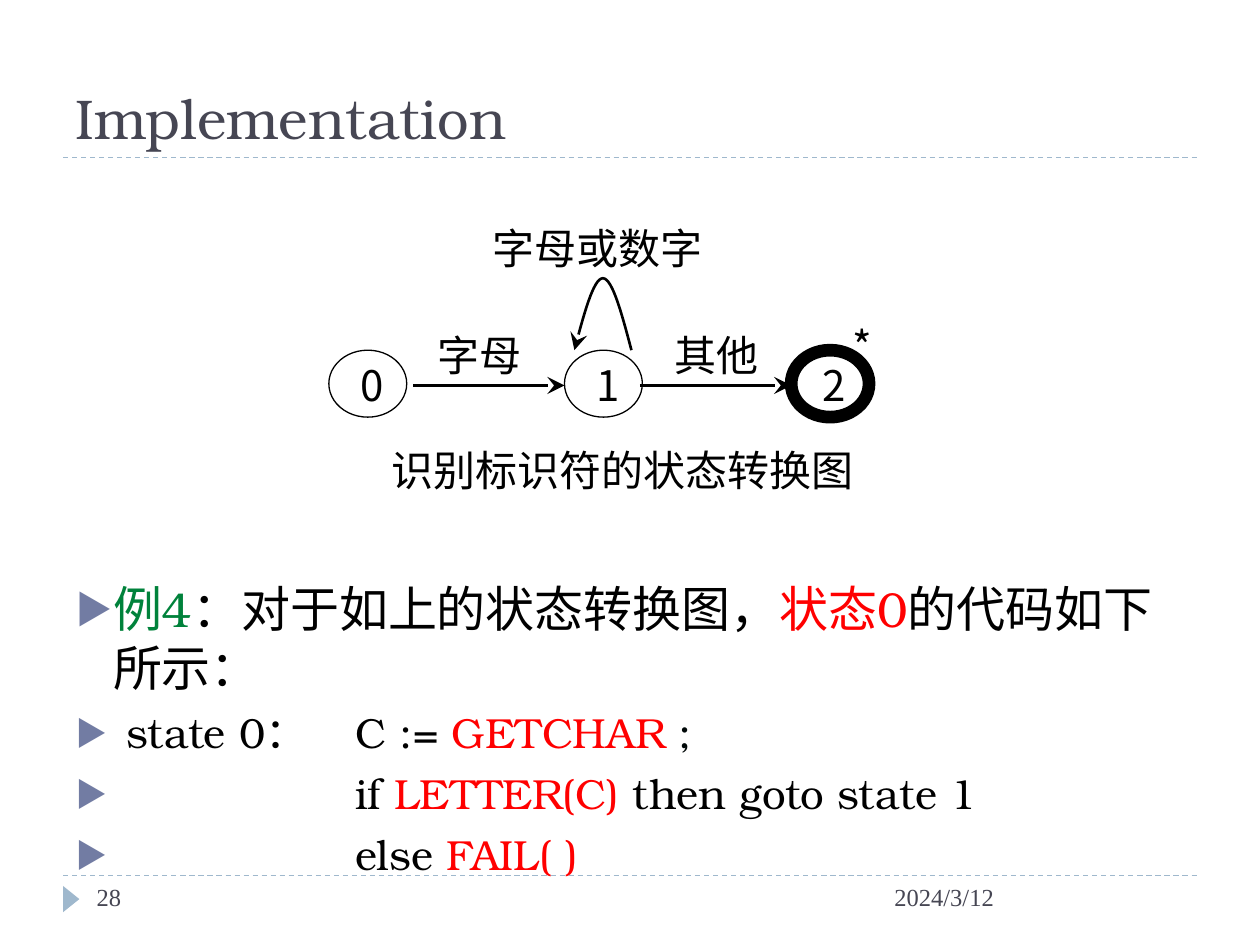
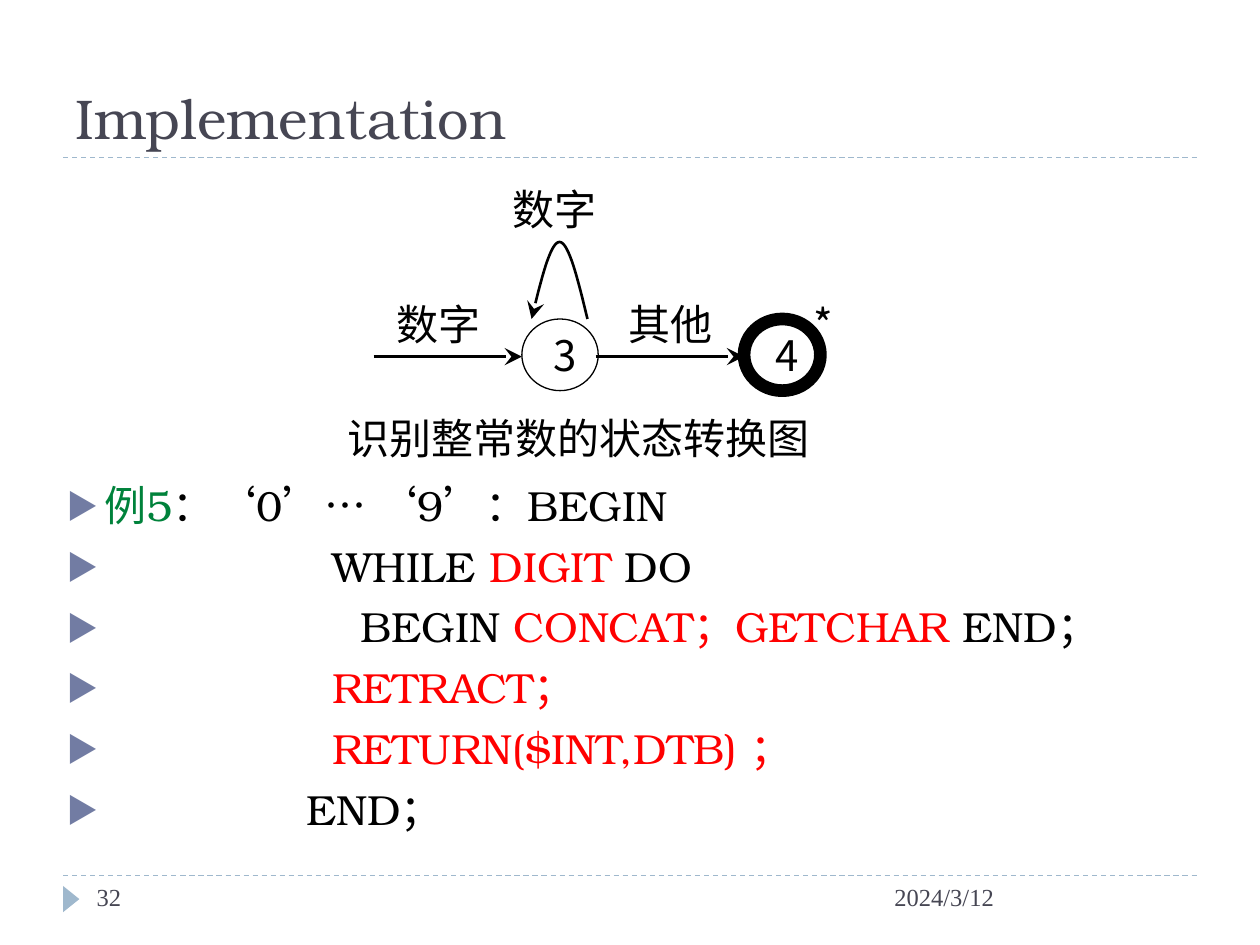
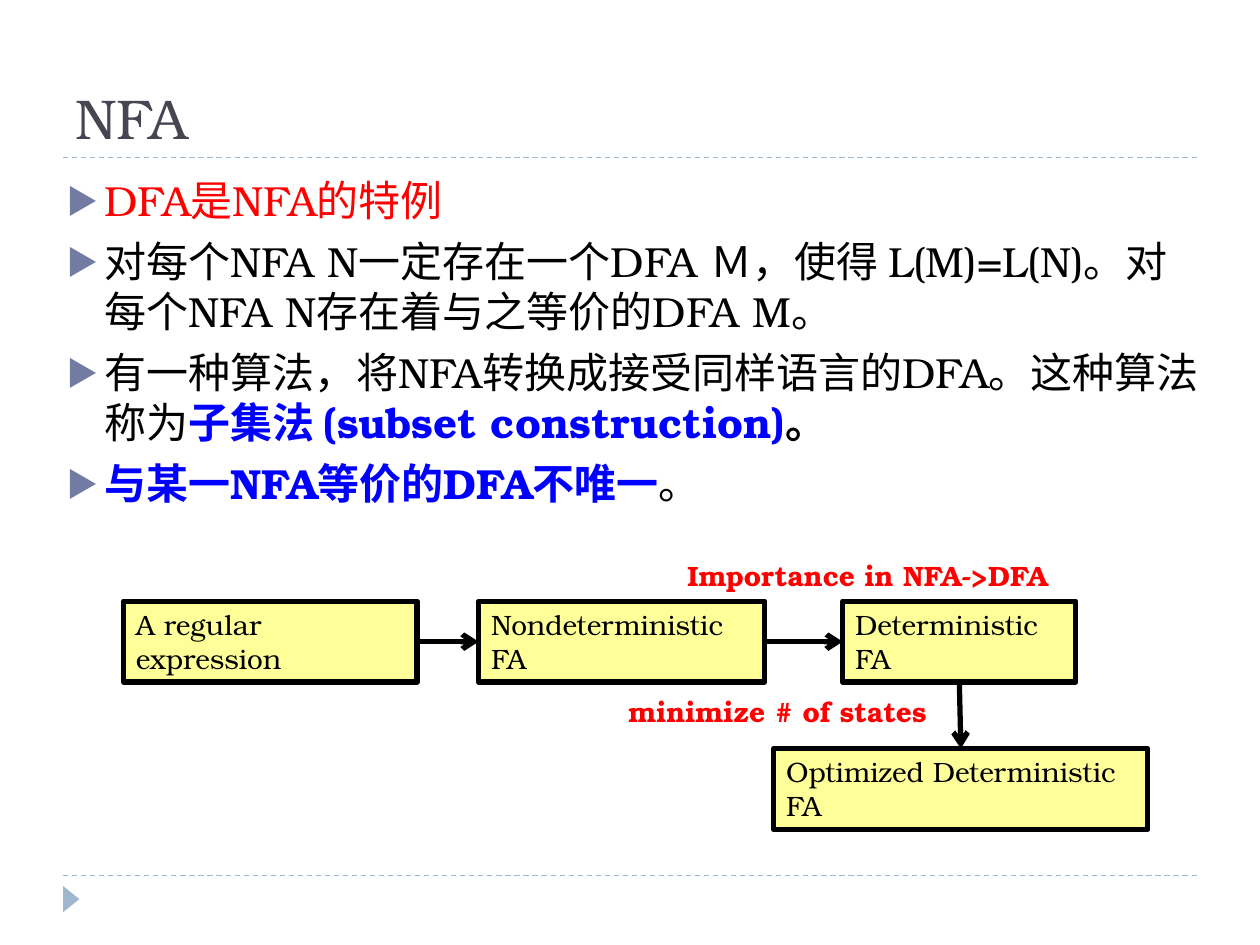
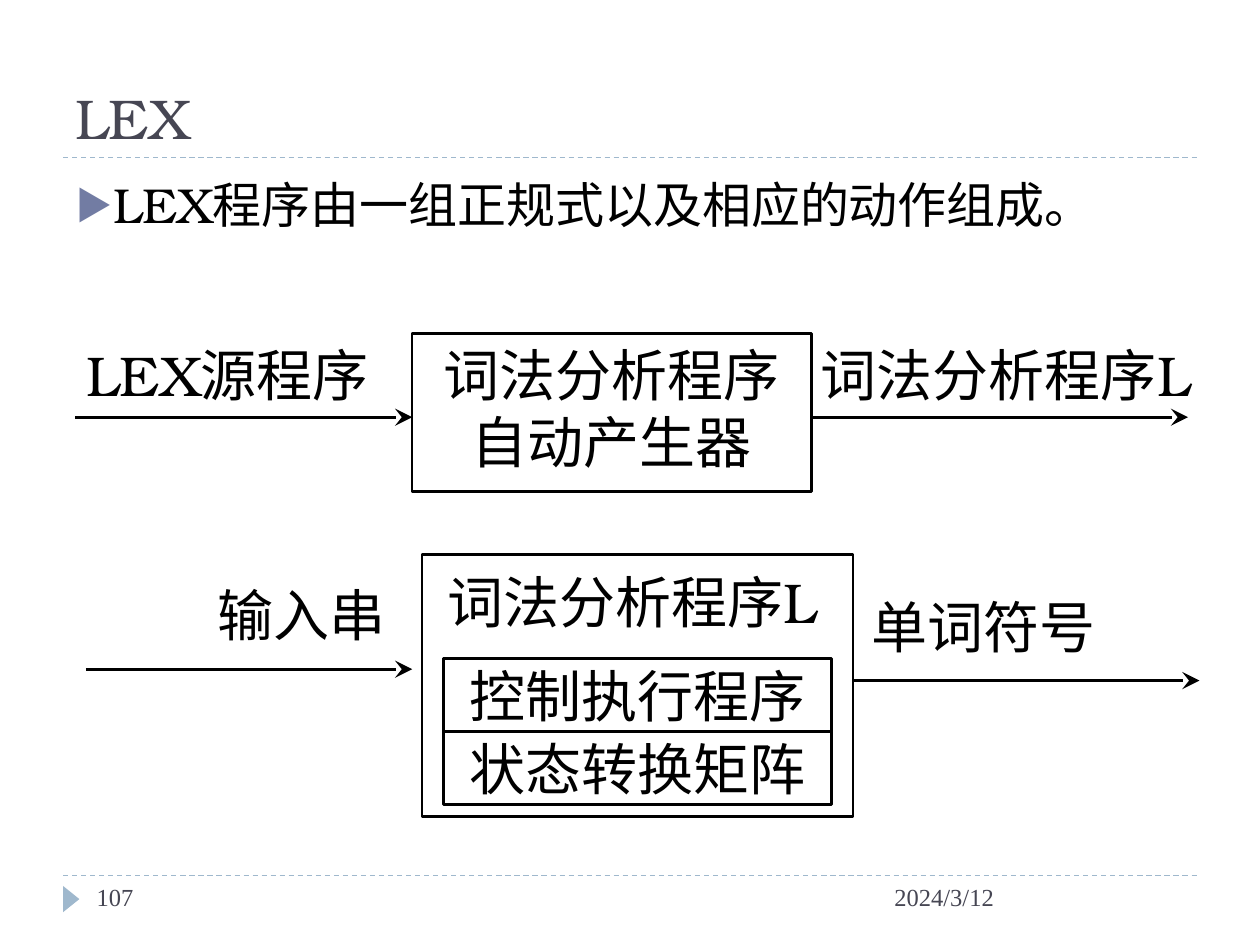
"""Build four slides on state diagrams, finite automata and LEX."""
from dataclasses import dataclass
from typing import Any, NamedTuple, Optional

import lxml.etree
import pptx
import pptx.dml.color
import pptx.enum.dml
import pptx.enum.shapes
import pptx.enum.text
import pptx.oxml.ns
import pptx.util

Cm = pptx.util.Cm
Pt = pptx.util.Pt
ALIGN = pptx.enum.text.PP_ALIGN
ANCHOR = pptx.enum.text.MSO_ANCHOR
SHAPE = pptx.enum.shapes.MSO_SHAPE

COLORS = {
    "black": "000000", "ink": "464653", "band": "9FB8CD", "bullet": "727CA3",
    "green": "00823B", "red": "FF0000", "blue": "0000FF", "dark": "000808",
    "yellow": "FFFF99",
}
SERIF = "TeX Gyre Bonum"
SANS = "Noto Sans CJK SC"
TIMES = "Times New Roman"
HANGING = 0.76
DATE = "2024/3/12"


class Area(NamedTuple):
    """Rectangle in centimetres."""
    left: float
    top: float
    width: float
    height: float


class Span(NamedTuple):
    """Run of text with one look."""
    text: str
    color: str = "black"
    font: str = SERIF
    bold: bool = False


@dataclass
class Line:
    """Paragraph, bulleted when it has an indent."""
    spans: list[Span]
    size: float = 24
    align: Any = ALIGN.LEFT
    indent: Optional[float] = None
    tab: Optional[float] = None
    spacing: Optional[float] = None


@dataclass
class Automaton:
    """State diagram with a looping state and an accepting state."""
    left: float
    top: float
    wide: float
    tall: float
    states: tuple[str, str]
    entry: str
    loop: str
    caption: str
    caption_drop: float
    star_center: float
    star_rise: float
    start: Optional[str] = None


def rgb(name: str) -> pptx.dml.color.RGBColor:
    """Return a named colour."""
    return pptx.dml.color.RGBColor.from_string(COLORS[name])


def add_element(parent: Any, tag: str, **attributes: str) -> Any:
    """Append a drawing element."""
    return lxml.etree.SubElement(parent, pptx.oxml.ns.qn(tag), attributes)


def bullet_line(*spans: Span, size: float = 24, indent: float = HANGING,
                tab: Optional[float] = None) -> Line:
    """Return a bulleted line."""
    return Line(list(spans), size, indent=indent, tab=tab)


def sans_line(text: str, size: float = 24, align: Any = ALIGN.CENTER) -> Line:
    """Return a plain sans line."""
    return Line([Span(text, font=SANS)], size, align)


def format_bullet(para: Any, line: Line) -> None:
    """Give a paragraph its triangle, hanging indent and tab stop."""
    para.space_before = Pt(6)
    properties = para._p.get_or_add_pPr()
    properties.set("marL", str(Cm(line.indent)))
    properties.set("indent", str(-Cm(line.indent)))
    color = add_element(properties, "a:buClr")
    add_element(color, "a:srgbClr", val=COLORS["bullet"])
    add_element(properties, "a:buSzPct", val="76000")
    add_element(properties, "a:buFont", typeface=SANS)
    add_element(properties, "a:buChar", char="▶")
    if line.tab:
        stops = add_element(properties, "a:tabLst")
        add_element(stops, "a:tab", pos=str(Cm(line.tab)), algn="l")


def write(shape: Any, lines: list[Line], anchor: Any = ANCHOR.TOP, wrap: bool = True,
          insets: tuple[float, float] = (0.25, 0.13)) -> None:
    """Fill a shape with lines of text."""
    frame = shape.text_frame
    frame.word_wrap = wrap
    frame.vertical_anchor = anchor
    frame.margin_left = frame.margin_right = Cm(insets[0])
    frame.margin_top = frame.margin_bottom = Cm(insets[1])
    for index, line in enumerate(lines):
        para = frame.add_paragraph() if index else frame.paragraphs[0]
        para.alignment = line.align
        if line.spacing:
            para.line_spacing = line.spacing
        if line.indent is not None:
            format_bullet(para, line)
        for span in line.spans:
            run = para.add_run()
            run.text = span.text
            run.font.size = Pt(line.size)
            run.font.bold = span.bold
            run.font.name = span.font
            run.font.color.rgb = rgb(span.color)
            add_element(run._r.get_or_add_rPr(), "a:ea", typeface=SANS)


def add_text(slide: Any, area: Area, lines: list[Line], **layout: Any) -> None:
    """Add a text box."""
    write(slide.shapes.add_textbox(*map(Cm, area)), lines, **layout)


def add_label(slide: Any, area: Area, text: str) -> None:
    """Add a centred diagram label on one line."""
    add_text(slide, area, [sans_line(text)], anchor=ANCHOR.MIDDLE, wrap=False, insets=(0, 0))


def add_box(slide: Any, area: Area, weight: float, kind: Any = SHAPE.RECTANGLE,
            fill: Optional[str] = None) -> Any:
    """Add an outlined shape."""
    box = slide.shapes.add_shape(kind, *map(Cm, area))
    style_outline(box, weight, fill)
    return box


def style_outline(shape: Any, weight: float, fill: Optional[str] = None) -> None:
    """Set a shape's fill and black outline, without shadow."""
    shape.shadow.inherit = False
    if fill:
        shape.fill.solid()
        shape.fill.fore_color.rgb = rgb(fill)
    else:
        shape.fill.background()
    shape.line.color.rgb = rgb("black")
    shape.line.width = Pt(weight)


def add_head(shape: Any, head: str) -> None:
    """Put an arrowhead at the end of a line."""
    size = "lg" if head == "stealth" else "med"
    add_element(shape.line._get_or_add_ln(), "a:tailEnd", type=head, w=size, len=size)


def add_line(slide: Any, start: tuple[float, float], end: tuple[float, float],
             weight: float = 1.5, color: str = "black", head: Optional[str] = "stealth") -> Any:
    """Add a straight line."""
    line = slide.shapes.add_connector(
        pptx.enum.shapes.MSO_CONNECTOR.STRAIGHT, *map(Cm, start + end))
    line.line.color.rgb = rgb(color)
    line.line.width = Pt(weight)
    add_element(line._element.spPr, "a:effectLst")
    if head:
        add_head(line, head)
    return line


def join(slide: Any, source: Any, source_side: int, target: Any, target_side: int) -> None:
    """Join two boxes with an arrow."""
    arrow = add_line(slide, (0, 0), (1, 1), 3, head="arrow")
    arrow.begin_connect(source, source_side)
    arrow.end_connect(target, target_side)


def add_slide(deck: Any, title: str, number: Optional[str] = None) -> Any:
    """Add a slide with its title, rules and footer."""
    slide = deck.slides.add_slide(deck.slide_layouts[6])
    for height in (17.65, 3.18):
        rule = add_line(slide, (1.27, height), (24.13, height), 0.75, "band", None)
        rule.line.dash_style = pptx.enum.dml.MSO_LINE.DASH
    marker = add_box(slide, Area(1.17, 17.96, 0.53, 0.33), 0.75,
                     SHAPE.ISOSCELES_TRIANGLE, "band")
    marker.line.fill.background()
    marker.rotation = 90
    add_text(slide, Area(1.27, 0.43, 22.86, 2.74), [Line([Span(title, "ink")], 32)],
             anchor=ANCHOR.BOTTOM)
    if number:
        for left, width, text in ((17.78, 6.35, DATE), (1.7, 5.51, number)):
            add_text(slide, Area(left, 17.65, width, 1.02),
                     [Line([Span(text, "ink", TIMES)], 14)])
    return slide


def add_loop(slide: Any, left: float, right: float, base: float, rise: float) -> None:
    """Add the curved arrow from a state to itself."""
    steps = 16
    middle, half = (left + right) / 2, (right - left) / 2
    points = []
    for step in range(steps, -steps - 1, -1):
        across = step / steps
        climb = 1 - abs(across)
        height = rise * (1.5 * climb - 0.5 * climb ** 3)
        points.append((Cm(middle + half * across), Cm(base - height)))
    builder = slide.shapes.build_freeform(*points[0])
    builder.add_line_segments(points[1:], close=False)
    curve = builder.convert_to_shape()
    style_outline(curve, 1.5)
    add_head(curve, "stealth")


def draw_automaton(slide: Any, plan: Automaton) -> None:
    """Draw a state diagram."""
    def across(offset: float) -> float:
        return plan.left + offset * plan.wide

    def down(offset: float) -> float:
        return plan.top + offset * plan.tall

    def label(center: float, top: float, width: float, height: float, text: str) -> None:
        area = Area(across(center) - width / 2, top, width, height * plan.tall)
        add_label(slide, area, text)

    states = [(0, plan.states[0], 0.75), (4.57, plan.states[1], 7.25)]
    if plan.start:
        states.insert(0, (-4.75, plan.start, 0.75))
    for offset, name, weight in states:
        area = Area(across(offset), plan.top, 1.57 * plan.wide, 1.35 * plan.tall)
        state = add_box(slide, area, weight, SHAPE.OVAL)
        write(state, [sans_line(name, align=ALIGN.JUSTIFY)], insets=(0.41, 0))
    add_loop(slide, across(0.2), across(1.35), plan.top, 1.45 * plan.tall)
    for start, end in ((-3.05, 0), (1.52, 4.57)):
        add_line(slide, (across(start), down(0.71)), (across(end), down(0.71)))
    label(-1.72, down(-0.53), 2.2, 1.24, plan.entry)
    label(3.06, down(-0.53), 2.2, 1.24, "其他")
    label(0.67, down(-2.69), 4.8, 1.24, plan.loop)
    label(1.16, plan.top + plan.caption_drop, 10, 1.24, plan.caption)
    label(plan.star_center, plan.top - plan.star_rise, 1.35, 0.89, "*")


def build_identifier_slide(deck: Any) -> None:
    """Build the slide on recognising identifiers."""
    slide = add_slide(deck, "Implementation", "28")
    code = 5.64
    add_text(slide, Area(1.27, 11.53, 22.86, 5.56), [
        bullet_line(Span("例4", "green"), Span("：对于如上的状态转换图，"),
                    Span("状态0", "red"), Span("的代码如下所示："), size=28),
        bullet_line(Span(" state 0：\tC := "), Span("GETCHAR ", "red"),
                    Span(";", "dark"), tab=code),
        bullet_line(Span("if "), Span("LETTER(C)", "red"),
                    Span(" then goto state 1"), indent=code),
        bullet_line(Span("else "), Span("FAIL( )", "red"), indent=code),
    ])
    draw_automaton(slide, Automaton(
        11.38, 7.06, 1, 1, ("1", "2"), "字母", "字母或数字",
        "识别标识符的状态转换图", 1.78, 6.01, 0.53, start="0"))


def build_integer_slide(deck: Any) -> None:
    """Build the slide on recognising integers."""
    slide = add_slide(deck, "Implementation", "32")
    outer, code, inner = 4.83, 5.36, 5.92
    add_text(slide, Area(1.09, 9.53, 22.86, 8), [
        bullet_line(Span("例5", "green"), Span("：‘0’… ‘9’：BEGIN")),
        bullet_line(Span("WHILE "), Span("DIGIT ", "red"), Span("DO"), indent=code),
        bullet_line(Span("BEGIN "), Span("CONCAT；GETCHAR ", "red"),
                    Span("END；"), indent=inner),
        bullet_line(Span("RETRACT；", "red"), indent=code),
        bullet_line(Span("RETURN($INT,DTB) ；", "red"), indent=code),
        bullet_line(Span("END；"), indent=outer),
    ])
    draw_automaton(slide, Automaton(
        10.52, 6.43, 0.98, 1.07, ("3", "4"), "数字", "数字",
        "识别整常数的状态转换图", 1.73, 6.2, 0.38))


def build_nfa_slide(deck: Any) -> None:
    """Build the slide on turning an NFA into a DFA."""
    slide = add_slide(deck, "NFA")
    add_text(slide, Area(1.09, 3.38, 23.39, 13.72), [
        bullet_line(Span("DFA是NFA的特例", "red")),
        bullet_line(Span("对每个NFA N一定存在一个DFA Ｍ，使得 L(M)=L(N)。"
                         "对每个NFA N存在着与之等价的DFA M。")),
        bullet_line(Span("有一种算法，将NFA转换成接受同样语言的DFA。这种算法称为"),
                    Span("子集法 (subset construction)", "blue", bold=True),
                    Span("。", bold=True)),
        bullet_line(Span("与某一NFA等价的DFA不唯一", "blue", bold=True), Span("。")),
    ])
    stages = []
    for left, top, width, text in (
            (2.49, 12.12, 5.92, "A regular expression"),
            (9.65, 12.12, 5.77, "Nondeterministic FA"),
            (16.99, 12.12, 4.7, "Deterministic FA"),
            (15.6, 15.09, 7.54, "Optimized Deterministic FA")):
        stage = add_box(slide, Area(left, top, width, 1.63), 3, fill="yellow")
        write(stage, [Line([Span(text)], 16)])
        stages.append(stage)
    expression, nondeterministic, deterministic, optimized = stages
    for left, top, width, text in (
            (12.42, 13.87, 6.58, "minimize # of states"),
            (13.61, 11.13, 8.74, "Importance in NFA->DFA")):
        add_text(slide, Area(left, top, width, 0.94),
                 [Line([Span(text, "red", bold=True)], 16)], wrap=False)
    join(slide, expression, 3, nondeterministic, 1)
    join(slide, nondeterministic, 3, deterministic, 1)
    join(slide, deterministic, 2, optimized, 0)


def build_lex_slide(deck: Any) -> None:
    """Build the slide on the LEX generator."""
    slide = add_slide(deck, "LEX", "107")
    add_text(slide, Area(1.27, 3.38, 22.86, 13.72), [
        bullet_line(Span("LEX程序由一组正规式以及相应的动作组成。"), size=28)])
    generator = add_box(slide, Area(8.31, 6.73, 8.05, 3.18), 1.5)
    write(generator, [sans_line("词法分析程序自动产生器", 32)])
    analyzer = add_box(slide, Area(8.51, 11.18, 8.69, 5.28), 1.5)
    write(analyzer, [Line([Span(" 词法分析程序", font=SANS), Span("L")], 32,
                          ALIGN.JUSTIFY, spacing=1.1)])
    part_height = 1.47
    for row, text in enumerate(("控制执行程序", "状态转换矩阵")):
        part = add_box(slide, Area(8.94, 13.28 + row * part_height, 7.82, part_height), 1.5)
        write(part, [sans_line(text, 32)], anchor=ANCHOR.MIDDLE, wrap=False)
    for left, top, width, spans in (
            (15.93, 6.73, 8.69, [Span("词法分析程序", font=SANS), Span("L")]),
            (1.09, 6.73, 6.99, [Span("LEX"), Span("源程序", font=SANS)]),
            (16.33, 11.81, 6.99, [Span("单词符号", font=SANS)]),
            (2.59, 11.58, 6.99, [Span("输入串", font=SANS)])):
        add_text(slide, Area(left, top, width, 1.7), [Line(spans, 32, ALIGN.CENTER)])
    for start, end, height in ((1.52, 8.31, 8.41), (16.33, 23.95, 8.41),
                               (1.73, 8.31, 13.49), (17.2, 24.18, 13.72)):
        add_line(slide, (start, height), (end, height))


def main() -> None:
    """Build and save the deck."""
    deck = pptx.Presentation()
    deck.slide_width, deck.slide_height = Cm(25.4), Cm(19.05)
    build_identifier_slide(deck)
    build_integer_slide(deck)
    build_nfa_slide(deck)
    build_lex_slide(deck)
    deck.save("out.pptx")


if __name__ == "__main__":
    main()
